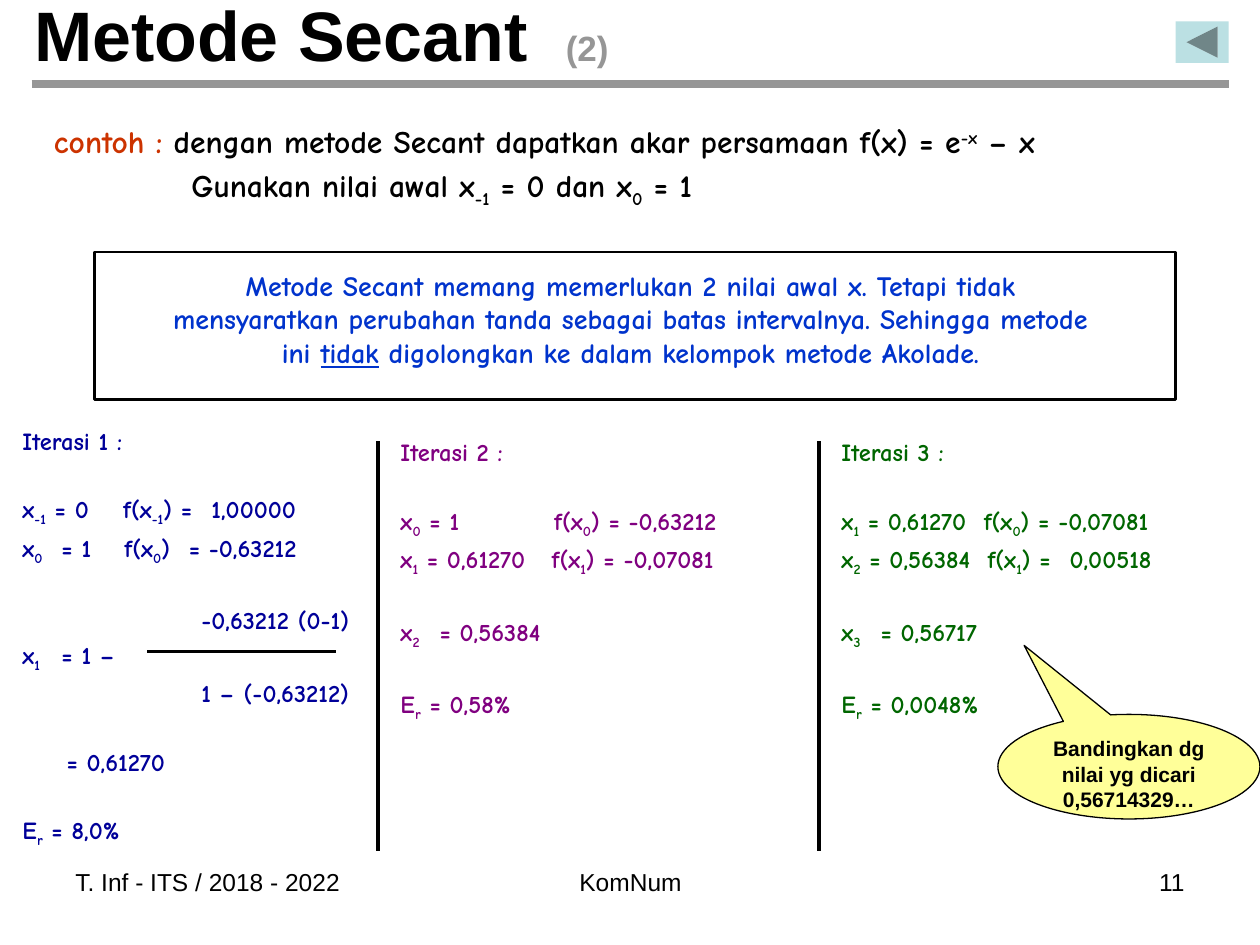
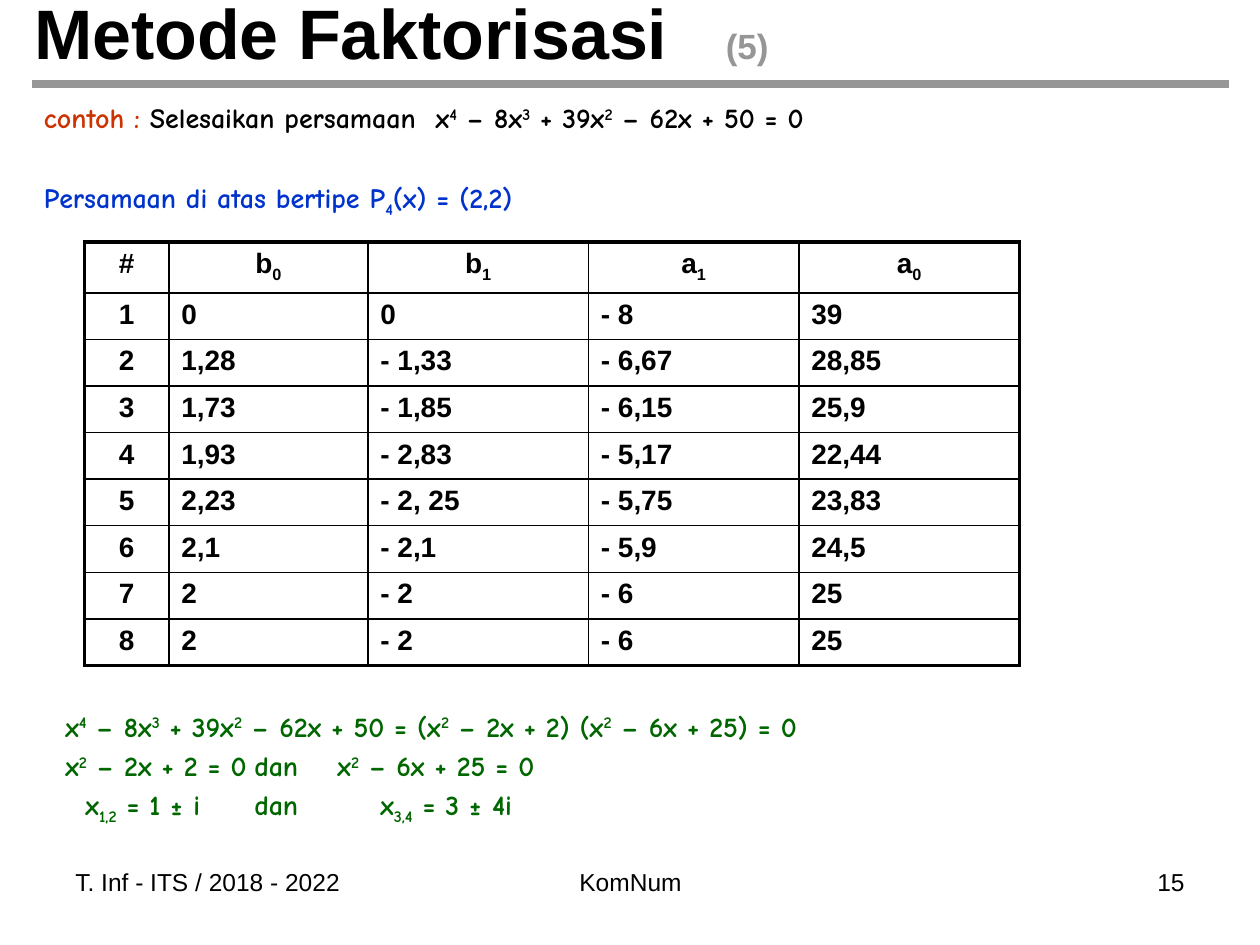
import pptx
import pptx.dml.color
import pptx.enum.shapes
import pptx.enum.text
import pptx.oxml.ns
import pptx.util
from lxml import etree

Inches = pptx.util.Inches
Pt = pptx.util.Pt
RGB = pptx.dml.color.RGBColor
SHAPE = pptx.enum.shapes.MSO_SHAPE
ALIGN = pptx.enum.text.PP_ALIGN
ANCHOR = pptx.enum.text.MSO_ANCHOR
qn = pptx.oxml.ns.qn

COLORS = {
    "black": "000000", "grey": "969696", "red": "CC3300", "blue": "0033CC",
    "navy": "000099", "purple": "800080", "green": "006600",
    "yellow": "FFFF99", "teal": "BBE0E3",
}
MARKS = {
    "_": {"baseline": -25},
    "^": {"baseline": 30},
    "*": {"underline": True},
    "!": {"color": "red"},
    "~": {"color": "grey", "size": 20},
}


def write(tf, text, size=14, color="black", font="Arial", bold=False, align=ALIGN.LEFT):
    """Fill a text frame, one paragraph a line; an empty line widens the gap.

    "1.2 3|text" sets tab stops in inches, "_{0}" formats a run by MARKS.
    """
    tf.word_wrap = True
    gap = None
    for line in text.split("\n"):
        if not line:
            gap = 1.6 * size
            continue
        p = tf.paragraphs[0] if gap is None else tf.add_paragraph()
        p.alignment = align
        p.space_before = Pt(gap or 0)
        gap = 0.2 * size
        stops, _, line = line.rpartition("|")
        if stops:
            tabs = etree.SubElement(p._p.get_or_add_pPr(), qn("a:tabLst"))
            for stop in stops.split():
                etree.SubElement(tabs, qn("a:tab"), pos=str(Inches(float(stop))), algn="l")
        for chunk in line.split("}"):
            plain, _, marked = chunk.partition("{")
            mark = MARKS[plain[-1]] if marked else {}
            plain = plain[:-1] if marked else plain
            for words, style in ((plain, {}), (marked, mark)):
                if not words:
                    continue
                r = p.add_run()
                r.text = words
                r.font.name = font
                r.font.bold = bold
                r.font.size = Pt(style.get("size", size))
                r.font.color.rgb = RGB.from_string(COLORS[style.get("color", color)])
                if "underline" in style:
                    r.font.underline = True
                if "baseline" in style:
                    r._r.get_or_add_rPr().set("baseline", str(style["baseline"] * 1000))


def add_line(s, x1, y1, x2, y2, width, color="black"):
    line = s.shapes.add_connector(
        pptx.enum.shapes.MSO_CONNECTOR.STRAIGHT, Inches(x1), Inches(y1), Inches(x2), Inches(y2))
    line.line.width = Pt(width)
    line.line.color.rgb = RGB.from_string(COLORS[color])
    etree.SubElement(line._element.spPr, qn("a:effectLst"))


prs = pptx.Presentation()
prs.slide_width, prs.slide_height = Inches(10), Inches(7.5)

# Title, rule and footers of both slides
slides = []
for title, height, number in (
    ("4.22|Metode Secant\t~{(2)}", 0.53, "11"),
    ("5.49|Metode Faktorisasi\t~{(5)}", 0.5, "15"),
):
    s = prs.slides.add_slide(prs.slide_layouts[5])
    slides.append(s)
    sp = s.shapes.title
    sp.left, sp.top, sp.width, sp.height = Inches(0.17), 0, Inches(9), Inches(height)
    sp.text_frame.auto_size = pptx.enum.text.MSO_AUTO_SIZE.NONE
    sp.text_frame.vertical_anchor = ANCHOR.MIDDLE
    write(sp.text_frame, title, size=40, bold=True)
    add_line(s, 0.25, 0.67, 9.75, 0.67, 4.5, "grey")
    for left, width, text, align in (
        (0.5, 2.33, "T. Inf - ITS / 2018 - 2022", ALIGN.LEFT),
        (3.42, 3.17, "KomNum", ALIGN.CENTER),
        (7.17, 2.33, number, ALIGN.RIGHT),
    ):
        sp = s.shapes.add_textbox(Inches(left), Inches(6.83), Inches(width), Inches(0.52))
        write(sp.text_frame, text, align=align)

secant, factoring = slides

# Body text of both slides
example = """!{contoh :} dengan metode Secant dapatkan akar persamaan f(x) = e^{-x} – x
1.09|\tGunakan nilai awal x_{-1} = 0 dan x_{0} = 1"""
remark = ("Metode Secant memang memerlukan 2 nilai awal x. Tetapi tidak mensyaratkan "
          "perubahan tanda sebagai batas intervalnya. Sehingga metode ini *{tidak} "
          "digolongkan ke dalam kelompok metode Akolade.")
iteration_1 = """Iterasi 1 :

0.8 1.5|x_{-1} = 0\tf(x_{-1}) =\t1,00000
0.31 0.81 1.32|x_{0}\t= 1\tf(x_{0})\t= -0,63212

1.42|\t-0,63212 (0-1)
0.31|x_{1}\t= 1 –
1.42|\t1 – (-0,63212)

0.35|\t= 0,61270

E_{r} = 8,0%"""
iteration_2 = """Iterasi 2 :

1.22|x_{0} = 1\tf(x_{0}) = -0,63212
1.2|x_{1} = 0,61270\tf(x_{1}) = -0,07081

0.31|x_{2}\t= 0,56384

E_{r} = 0,58%"""
iteration_3 = """Iterasi 3 :

1.13|x_{1} = 0,61270\tf(x_{0}) = -0,07081
1.16 1.81|x_{2} = 0,56384\tf(x_{1}) =\t0,00518

0.31|x_{3}\t= 0,56717

E_{r} = 0,0048%"""
equation = """3.11|!{contoh :} Selesaikan persamaan\tx^{4} – 8x^{3} + 39x^{2} – 62x + 50 = 0"""
equation_type = "Persamaan di atas bertipe P_{4}(x) = (2,2)"
roots = """x^{4} – 8x^{3} + 39x^{2} – 62x + 50 = (x^{2} – 2x + 2) (x^{2} – 6x + 25) = 0
1.5 2.16|x^{2} – 2x + 2 = 0\tdan\tx^{2} – 6x + 25 = 0
0.16 1.5 2.5|\tx_{1,2} = 1 ± i\tdan\tx_{3,4} = 3 ± 4i"""

for s, box, text, size, color, align in (
    (secant, (0.33, 0.92, 9.42, 0.75), example, 18, "black", ALIGN.LEFT),
    (secant, (1.17, 2.08, 7.67, 0.92), remark, 16, "blue", ALIGN.CENTER),
    (secant, (0.08, 3.33, 3, 3.33), iteration_1, 14, "navy", ALIGN.LEFT),
    (secant, (3.08, 3.42, 3.42, 2.33), iteration_2, 14, "purple", ALIGN.LEFT),
    (secant, (6.58, 3.42, 3.42, 2.33), iteration_3, 14, "green", ALIGN.LEFT),
    (factoring, (0.25, 0.75, 7.25, 0.4), equation, 16, "black", ALIGN.LEFT),
    (factoring, (0.25, 1.38, 7.25, 0.45), equation_type, 16, "blue", ALIGN.LEFT),
    (factoring, (0.42, 5.58, 9.17, 1.08), roots, 16, "green", ALIGN.LEFT),
):
    sp = s.shapes.add_textbox(*map(Inches, box))
    write(sp.text_frame, text, size=size, color=color, font="Comic Neue", bold=True, align=align)

# Secant: fraction bar, column dividers, frame, callout and back button
add_line(secant, 1.17, 5.17, 2.67, 5.17, 1.5)
for x in (3, 6.5):
    add_line(secant, x, 3.5, x, 6.75, 2.25)

shapes = []
for kind, box, fill, width in (
    (SHAPE.RECTANGLE, (0.75, 2, 8.58, 1.17), None, 1.5),
    (SHAPE.OVAL_CALLOUT, (7.92, 5.67, 2.08, 0.83), "yellow", 0.75),
    (SHAPE.ACTION_BUTTON_BACK_OR_PREVIOUS, (9.33, 0.17, 0.42, 0.33), "teal", 0),
):
    sp = secant.shapes.add_shape(kind, *map(Inches, box))
    shapes.append(sp)
    sp.shadow.inherit = False
    if fill:
        sp.fill.solid()
        sp.fill.fore_color.rgb = RGB.from_string(COLORS[fill])
    else:
        sp.fill.background()
    if width:
        sp.line.width = Pt(width)
        sp.line.color.rgb = RGB.from_string(COLORS["black"])
    else:
        sp.line.fill.background()

callout = shapes[1]
callout.adjustments[0], callout.adjustments[1] = -0.4, -1.16
callout.text_frame.vertical_anchor = ANCHOR.TOP
write(callout.text_frame, "Bandingkan dg nilai yg dicari\n0,56714329…",
      size=12, bold=True, align=ALIGN.CENTER)
callout.text_frame.paragraphs[1].space_before = Pt(0)

# Factoring: table of iterations
rows = (
    ("#", "b_{0}", "b_{1}", "a_{1}", "a_{0}"),
    ("1", "0", "0", "- 8", "39"),
    ("2", "1,28", "- 1,33", "- 6,67", "28,85"),
    ("3", "1,73", "- 1,85", "- 6,15", "25,9"),
    ("4", "1,93", "- 2,83", "- 5,17", "22,44"),
    ("5", "2,23", "- 2, 25", "- 5,75", "23,83"),
    ("6", "2,1", "- 2,1", "- 5,9", "24,5"),
    ("7", "2", "- 2", "- 6", "25"),
    ("8", "2", "- 2", "- 6", "25"),
)
widths = (0.67, 1.58, 1.75, 1.67, 1.75)
row_height = 0.37
table = factoring.shapes.add_table(
    len(rows), len(widths), Inches(0.67), Inches(1.92),
    Inches(sum(widths)), Inches(row_height * len(rows))).table
table.first_row = table.horz_banding = False
for column, width in zip(table.columns, widths):
    column.width = Inches(width)
for i, values in enumerate(rows):
    table.rows[i].height = Inches(row_height)
    for j, value in enumerate(values):
        cell = table.cell(i, j)
        centred = i == 0 or j == 0
        write(cell.text_frame, value, size=16, bold=True,
              align=ALIGN.CENTER if centred else ALIGN.LEFT)
        tcPr = cell._tc.get_or_add_tcPr()
        for side, outer in (("L", j == 0), ("R", j == len(widths) - 1),
                            ("T", i == 0), ("B", i == len(rows) - 1)):
            ln = etree.SubElement(tcPr, qn("a:ln" + side), w=str(Pt(2.25 if outer else 1)))
            fill = etree.SubElement(ln, qn("a:solidFill"))
            etree.SubElement(fill, qn("a:srgbClr"), val=COLORS["black"])
        cell.fill.background()

prs.save("out.pptx")
